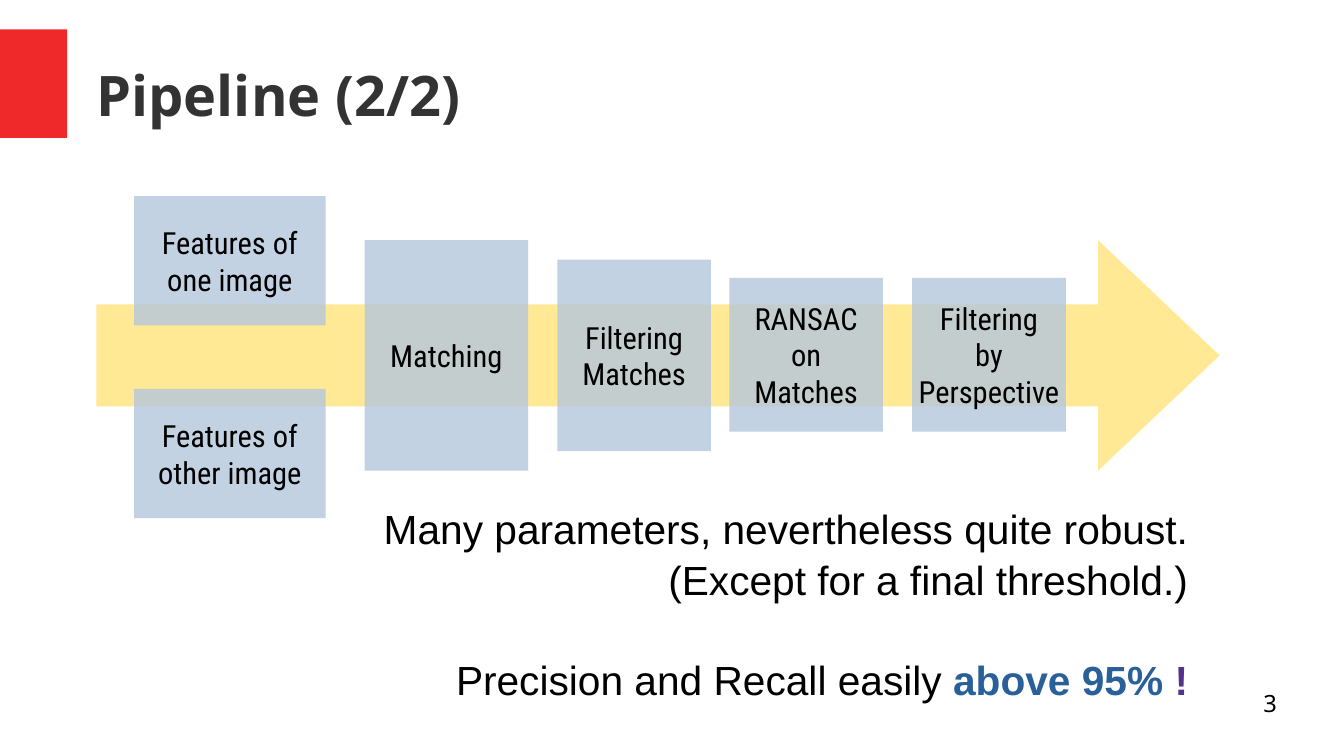
from lxml import etree
from pptx import Presentation
from pptx.dml.color import RGBColor
from pptx.enum.shapes import MSO_SHAPE
from pptx.enum.text import MSO_ANCHOR, PP_ALIGN
from pptx.oxml.ns import qn
from pptx.util import Inches, Pt

RECTANGLE = MSO_SHAPE.RECTANGLE
RIGHT_ARROW = MSO_SHAPE.RIGHT_ARROW
MIDDLE = MSO_ANCHOR.MIDDLE
LEFT, CENTER, RIGHT = PP_ALIGN.LEFT, PP_ALIGN.CENTER, PP_ALIGN.RIGHT


def add_block(kind, left, top, width, height, color):
    shape = slide.shapes.add_shape(
        kind, Inches(left), Inches(top), Inches(width), Inches(height))
    shape.shadow.inherit = False
    shape.fill.solid()
    shape.fill.fore_color.rgb = RGBColor.from_string(color)
    shape.line.fill.background()
    return shape


def style(paragraph, name, size, color, alignment):
    paragraph.alignment = alignment
    paragraph.font.name = name
    paragraph.font.size = Pt(size)
    paragraph.font.color.rgb = RGBColor.from_string(color)


presentation = Presentation()
presentation.slide_width = Inches(11.02)
presentation.slide_height = Inches(6.2)
slide = presentation.slides.add_slide(presentation.slide_layouts[5])

# Title with its red marker
add_block(RECTANGLE, 0, 0.24, 0.55, 0.89, "EF2929")
title = slide.shapes.title
title.left, title.top = Inches(0.79), Inches(0.25)
title.width, title.height = Inches(9.68), Inches(1.04)
title_frame = title.text_frame
title_frame.text = "Pipeline (2/2)"
title_frame.vertical_anchor = MIDDLE
title_frame.margin_left = title_frame.margin_right = 0
title_frame.margin_top = title_frame.margin_bottom = 0
style(title_frame.paragraphs[0], "Noto Sans", 33, "333333", LEFT)
title_frame.paragraphs[0].font.bold = True

# Pipeline arrow, with translucent steps over it
arrow = add_block(RIGHT_ARROW, 0.79, 1.97, 9.21, 1.89, "FFE994")
arrow.adjustments[0] = 0.443
arrow.adjustments[1] = 0.527

steps = [
    ("Matching", 2.99, 1.97, 1.34, 1.89),
    ("Filtering\vMatches", 4.57, 2.13, 1.26, 1.57),
    ("RANSAC\von\vMatches", 5.98, 2.28, 1.26, 1.26),
    ("Features of\vone image", 1.1, 1.61, 1.57, 1.06),
    ("Features of\vother image", 1.1, 3.19, 1.57, 1.06),
    ("Filtering\vby\vPerspective", 7.48, 2.28, 1.26, 1.26),
]
for label, left, top, width, height in steps:
    step = add_block(RECTANGLE, left, top, width, height, "B4C7DC")
    fill_color = step.fill._xPr.find(qn("a:solidFill"))[0]
    etree.SubElement(fill_color, qn("a:alpha"), val="80000")
    step.text_frame.text = label
    step.text_frame.word_wrap = False
    step.text_frame.vertical_anchor = MIDDLE
    style(step.text_frame.paragraphs[0], "Roboto Condensed", 18, "000000", CENTER)

# Conclusions
conclusions = slide.shapes.add_textbox(
    Inches(1.57), Inches(4.06), Inches(8.27), Inches(1.59)).text_frame
conclusions.word_wrap = True
robustness = conclusions.paragraphs[0]
robustness.text = ("Many parameters, nevertheless quite robust.\v"
                   "(Except for a final threshold.)")
accuracy = conclusions.add_paragraph()
accuracy.space_before = Pt(29)
accuracy.add_run().text = "Precision and Recall easily "
for text, color in [("above 95%", "2A6099"), (" !", "55308D")]:
    run = accuracy.add_run()
    run.text = text
    run.font.bold = True
    run.font.color.rgb = RGBColor.from_string(color)
for paragraph in conclusions.paragraphs:
    style(paragraph, "Arial", 24, "000000", RIGHT)
    paragraph.line_spacing = 1.05

# Slide number
number = slide.shapes.add_textbox(
    Inches(7.9), Inches(5.65), Inches(2.57), Inches(0.43)).text_frame
number.word_wrap = True
number.margin_left = number.margin_right = 0
number.margin_top = number.margin_bottom = 0
number.text = "3"
style(number.paragraphs[0], "Noto Sans", 14, "000000", RIGHT)

presentation.save("out.pptx")
